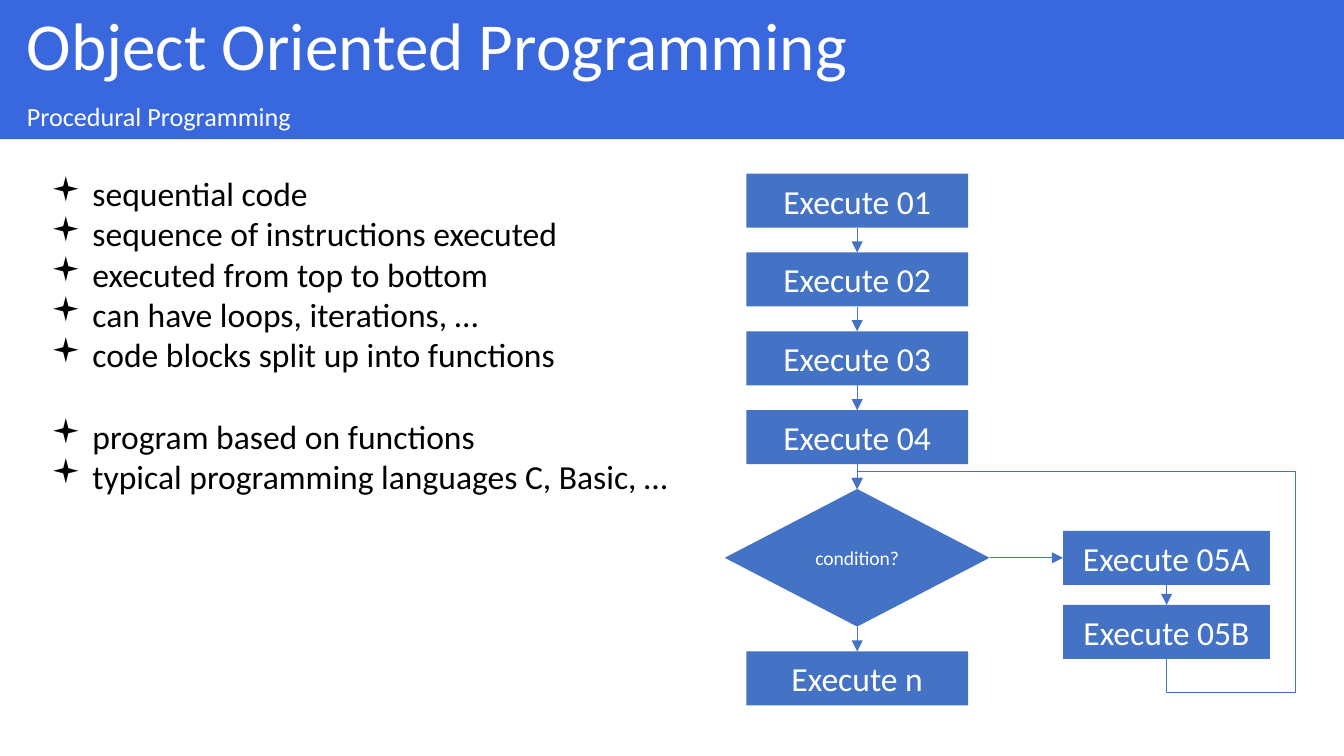
from lxml.etree import SubElement
from pptx import Presentation
from pptx.dml.color import RGBColor
from pptx.enum.shapes import MSO_CONNECTOR, MSO_SHAPE
from pptx.enum.text import MSO_ANCHOR, PP_ALIGN
from pptx.oxml.ns import qn
from pptx.util import Inches, Pt

WIDTH = Inches(10)
HEIGHT = WIDTH * 9 // 16
HEADER, BLUE, WHITE, BLACK = "3967DE", "4472C4", "FFFFFF", "000000"
FONT, BULLET_FONT = "Calibri", "Wingdings"

# Horizontal places are percent of the width, vertical ones of the height.
TITLE_H, SUBTITLE_H = 12.83, 5.6
MAIN_X, SIDE_X = 63.78, 86.8
MAIN_W, SIDE_W = 16.5, 15.4
BOX_H, GAP = 7.15, 3.28
FIRST_Y, SIDE_PITCH = 22.97, 9.8
DIAMOND_W, DIAMOND_H = 19.7, 18.2
LOOP_RIGHT, LOOP_BOTTOM, LOOP_TOP = 96.4, 91.6, 62.4

STEPS = ["Execute 01", "Execute 02", "Execute 03", "Execute 04"]
BULLET_GROUPS = [
    ["sequential code", "sequence of instructions executed",
     "executed from top to bottom", "can have loops, iterations, …",
     "code blocks split up into functions"],
    ["program based on functions",
     "typical programming languages C, Basic, …"],
]


def px(share):
    """Turn a percentage of the slide width into a length."""
    return round(WIDTH * share / 100)


def py(share):
    """Turn a percentage of the slide height into a length."""
    return round(HEIGHT * share / 100)


def rgb(value):
    """Turn a hex string into a colour."""
    return RGBColor.from_string(value)


def add_run(p, text, size, color):
    """Append a formatted run to a paragraph."""
    r = p.add_run()
    r.text = text
    r.font.name, r.font.size = FONT, Pt(size)
    r.font.color.rgb = rgb(color)


def add_block(slide, kind, left, top, width, height, fill, text, size):
    """Add a filled shape with white, vertically centred text."""
    sp = slide.shapes.add_shape(kind, px(left), py(top), px(width), py(height))
    sp.shadow.inherit = False
    sp.fill.solid()
    sp.fill.fore_color.rgb = rgb(fill)
    sp.line.fill.background()
    tf = sp.text_frame
    tf.word_wrap, tf.vertical_anchor = True, MSO_ANCHOR.MIDDLE
    p = tf.paragraphs[0]
    p.alignment = PP_ALIGN.CENTER
    add_run(p, text, size, WHITE)
    return sp


def add_band(slide, top, height, text, size):
    """Add a full-width header band with left-aligned text."""
    sp = add_block(slide, MSO_SHAPE.RECTANGLE, 0, top, 100, height,
                   HEADER, text, size)
    sp.text_frame.margin_left = Inches(0.2)
    p = sp.text_frame.paragraphs[0]
    p.alignment = PP_ALIGN.LEFT
    p.line_spacing, p.space_before = 0.9, Pt(10)


def add_node(slide, center, top, width, text):
    """Add a flowchart step centred on a column."""
    add_block(slide, MSO_SHAPE.RECTANGLE, center - width / 2, top,
              width, BOX_H, BLUE, text, 18)


def add_bullets(slide, groups):
    """Add the bulleted text, with a line's space between groups."""
    sp = slide.shapes.add_textbox(px(2.8), py(22), px(89), py(66.5))
    tf = sp.text_frame
    tf.word_wrap = True
    p = None
    for g, group in enumerate(groups):
        for i, text in enumerate(group):
            p = tf.add_paragraph() if p is not None else tf.paragraphs[0]
            if g and i == 0:
                p.space_before = Pt(22)
            pPr = p._p.get_or_add_pPr()
            pPr.set("marL", str(Inches(0.31)))
            pPr.set("indent", str(-Inches(0.31)))
            SubElement(pPr, qn("a:buFont")).set("typeface", BULLET_FONT)
            SubElement(pPr, qn("a:buChar")).set("char", "▪")
            add_run(p, text, 18, BLACK)


def add_arrow(slide, x1, y1, x2, y2, kind=MSO_CONNECTOR.STRAIGHT):
    """Add a thin connector with an arrowhead at its end."""
    cx = slide.shapes.add_connector(kind, px(x1), py(y1), px(x2), py(y2))
    cx.line.color.rgb, cx.line.width = rgb(BLUE), Pt(0.5)
    SubElement(cx.line._get_or_add_ln(), qn("a:tailEnd")).set("type", "triangle")
    SubElement(cx._element.spPr, qn("a:effectLst"))
    return cx


def add_loop(slide, x1, y1, x2, y2):
    """Add the five-part connector that leads back to the condition."""
    cx = add_arrow(slide, x1, y1, x2, y2, MSO_CONNECTOR.ELBOW)
    # A quarter turn swaps the sides of the frame around its centre.
    w, h = cx.width, cx.height
    cx.left, cx.top = cx.left + (w - h) // 2, cx.top + (h - w) // 2
    cx.width, cx.height = h, w
    xfrm = cx._element.spPr.find(qn("a:xfrm"))
    xfrm.attrib.pop("flipV", None)
    xfrm.set("rot", "5400000")
    xfrm.set("flipH", "1")
    geom = cx._element.spPr.find(qn("a:prstGeom"))
    geom.set("prst", "bentConnector5")
    bends = [(y1 - LOOP_BOTTOM) / (y1 - y2),
             (x1 - LOOP_RIGHT) / (x1 - x2),
             (y1 - LOOP_TOP) / (y1 - y2)]
    guides = geom.get_or_add_avLst()
    for i, bend in enumerate(bends, 1):
        gd = SubElement(guides, qn("a:gd"))
        gd.set("name", f"adj{i}")
        gd.set("fmla", f"val {round(bend * 100000)}")


def add_flowchart(slide):
    """Add the main column, the condition and the side branch."""
    y = FIRST_Y
    for text in STEPS:
        add_node(slide, MAIN_X, y, MAIN_W, text)
        add_arrow(slide, MAIN_X, y + BOX_H, MAIN_X, y + BOX_H + GAP)
        y += BOX_H + GAP

    bottom, middle = y + DIAMOND_H, y + DIAMOND_H / 2
    add_block(slide, MSO_SHAPE.DIAMOND, MAIN_X - DIAMOND_W / 2, y,
              DIAMOND_W, DIAMOND_H, BLUE, "condition?", 10.5)
    add_arrow(slide, MAIN_X, bottom, MAIN_X, bottom + GAP)
    add_node(slide, MAIN_X, bottom + GAP, MAIN_W, "Execute n")

    side_y = middle - BOX_H / 2
    add_node(slide, SIDE_X, side_y, SIDE_W, "Execute 05A")
    add_node(slide, SIDE_X, side_y + SIDE_PITCH, SIDE_W, "Execute 05B")
    add_arrow(slide, MAIN_X + DIAMOND_W / 2, middle,
              SIDE_X - SIDE_W / 2, middle)
    add_arrow(slide, SIDE_X, side_y + BOX_H, SIDE_X, side_y + SIDE_PITCH)
    add_loop(slide, SIDE_X, side_y + SIDE_PITCH + BOX_H, MAIN_X, y)


def main():
    """Build and save the slide."""
    prs = Presentation()
    prs.slide_width, prs.slide_height = WIDTH, HEIGHT
    slide = prs.slides.add_slide(prs.slide_layouts[6])
    add_band(slide, 0, TITLE_H, "Object Oriented Programming", 36)
    add_band(slide, TITLE_H, SUBTITLE_H, "Procedural Programming", 14)
    add_bullets(slide, BULLET_GROUPS)
    add_flowchart(slide)
    prs.save("out.pptx")


main()
